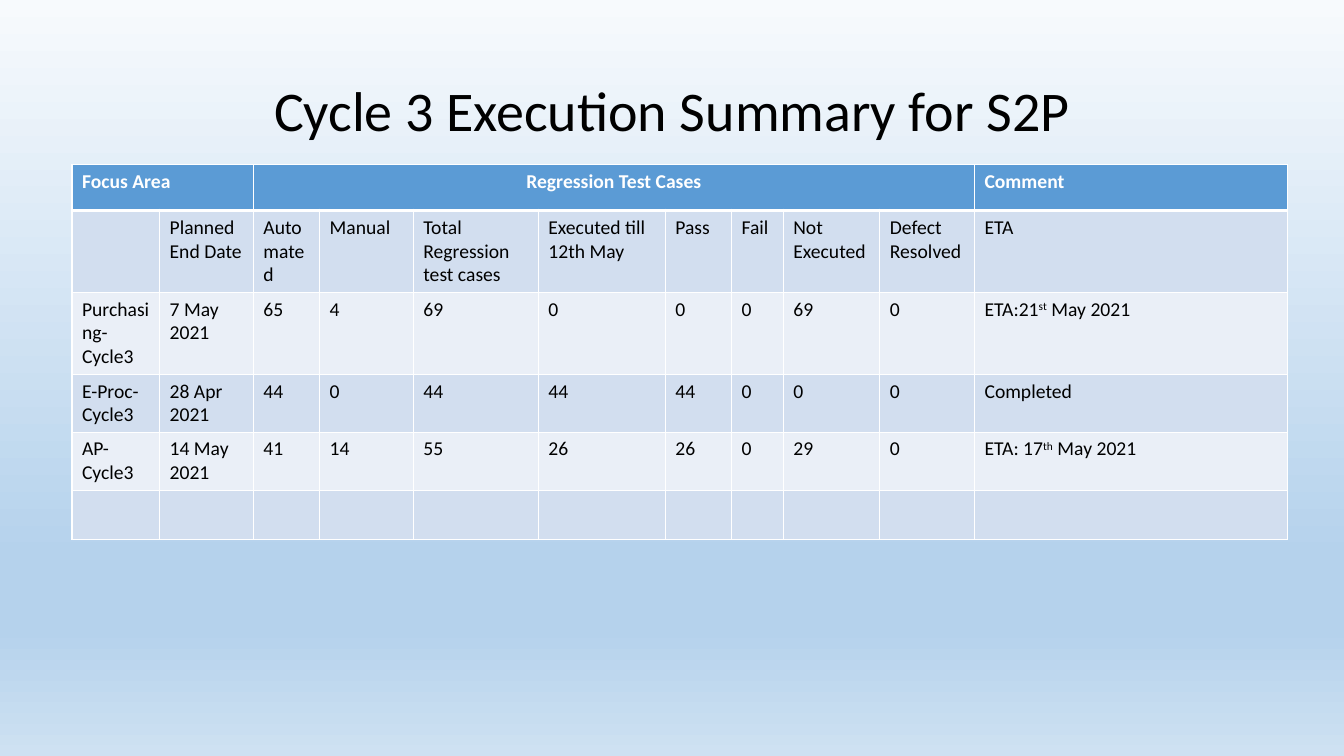
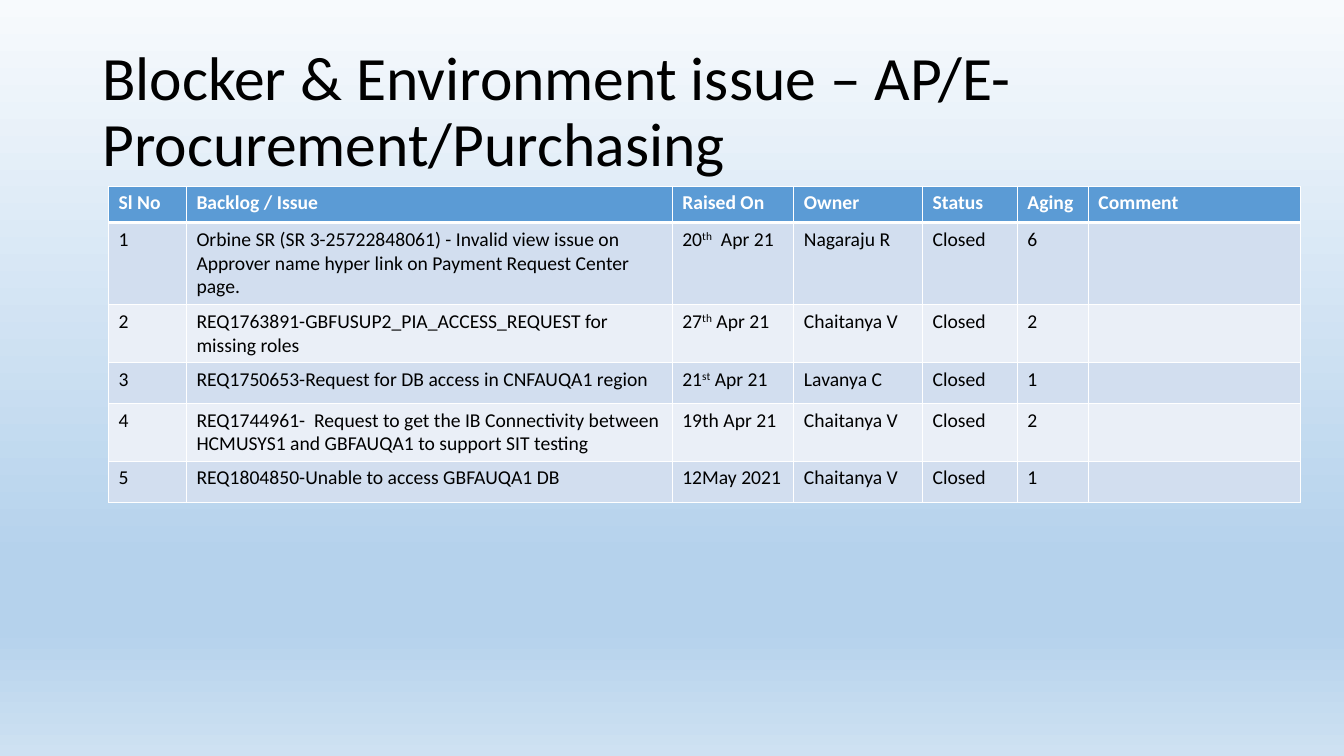
from lxml import etree
from pptx import Presentation
from pptx.dml.color import RGBColor
from pptx.enum.text import MSO_ANCHOR, PP_ALIGN
from pptx.oxml.ns import qn
from pptx.util import Pt

LEFT, CENTER = PP_ALIGN.LEFT, PP_ALIGN.CENTER
MIDDLE = MSO_ANCHOR.MIDDLE

# Shared style
FONT = "Calibri"
BLACK = RGBColor(0x00, 0x00, 0x00)
WHITE = RGBColor(0xFF, 0xFF, 0xFF)
HEADER_BLUE = RGBColor(0x5B, 0x9B, 0xD5)
BAND_DARK = RGBColor(0xD2, 0xDE, 0xEF)
BAND_LIGHT = RGBColor(0xEA, 0xEF, 0xF7)
SKY_TOP = RGBColor(0xF7, 0xFA, 0xFD)
SKY_MIDDLE = RGBColor(0xB5, 0xD2, 0xEC)
SKY_BOTTOM = RGBColor(0xCE, 0xE1, 0xF2)
BACKGROUND_STOPS = [(0, SKY_TOP), (74, SKY_MIDDLE), (83, SKY_MIDDLE), (100, SKY_BOTTOM)]

# Shared geometry, in points
PAGE_SIZE = (960, 540)
TITLE_BOX = (66, 28.75, 828, 104.4)
THIN, THICK = 1, 3
ONE_LINE, TWO_LINES, THREE_LINES = 29.25, 41.4, 58.5

# Slide contents; ^ marks start and end superscript
SUMMARY_COLUMNS = [62.6, 67, 47.3, 67, 89.3, 90.7, 47.3, 37, 69, 67.6, 223.6]
SUMMARY_HEIGHTS = [33, THREE_LINES, THREE_LINES, TWO_LINES, TWO_LINES, 35.5]
SUMMARY_ROWS = [
    ["Focus Area", "", "Regression Test Cases", "", "", "", "", "", "", "", "Comment"],
    ["", "Planned End Date", "Automated", "Manual", "Total Regression test cases",
     "Executed till 12th May", "Pass", "Fail", "Not Executed", "Defect Resolved", "ETA"],
    ["Purchasing-Cycle3", "7 May 2021", "65", "4", "69", "0", "0", "0", "69", "0",
     "ETA:21^st^ May 2021"],
    ["E-Proc-Cycle3", "28 Apr 2021", "44", "0", "44", "44", "44", "0", "0", "0",
     "Completed"],
    ["AP-Cycle3", "14 May 2021", "41", "14", "55", "26", "26", "0", "29", "0",
     "ETA: 17^th^ May 2021"],
    [""] * len(SUMMARY_COLUMNS),
]
ISSUE_COLUMNS = [55.7, 347, 86.9, 92, 67.7, 50.7, 151.8]
ISSUE_HEIGHTS = [26, THREE_LINES, TWO_LINES, ONE_LINE, TWO_LINES, ONE_LINE]
ISSUE_ROWS = [
    ["Sl No", "Backlog / Issue", "Raised On", "Owner", "Status", "Aging", "Comment"],
    ["1", "Orbine SR (SR 3-25722848061) - Invalid view issue on Approver name hyper link "
     "on Payment Request Center page.", "20^th^  Apr 21", "Nagaraju R", "Closed", "6", ""],
    ["2", "REQ1763891-GBFUSUP2_PIA_ACCESS_REQUEST for missing roles",
     "27^th^ Apr 21", "Chaitanya V", "Closed", "2", ""],
    ["3", "REQ1750653-Request for DB access in CNFAUQA1 region",
     "21^st^ Apr 21", "Lavanya C", "Closed", "1", ""],
    ["4", "REQ1744961-  Request to get the IB Connectivity between HCMUSYS1 and GBFAUQA1 "
     "to support SIT testing", "19th Apr 21", "Chaitanya V", "Closed", "2", ""],
    ["5", "REQ1804850-Unable to access GBFAUQA1 DB",
     "12May 2021", "Chaitanya V", "Closed", "1", ""],
]


def write_text(frame, text, size=14, color=BLACK, bold=False, align=LEFT, spacing=None):
    """Fill a text frame with one paragraph; odd pieces between ^ marks are raised."""
    para = frame.paragraphs[0]
    para.alignment = align
    para.font.size = Pt(size)
    if spacing:
        para.line_spacing = spacing
    for index, piece in enumerate(text.split("^")):
        if not piece:
            continue
        span = para.add_run()
        span.text = piece
        span.font.name = FONT
        span.font.size = Pt(size)
        span.font.bold = bold
        span.font.color.rgb = color
        if index % 2:
            span.font._element.set("baseline", "30000")


def add_color(parent, color):
    fill = etree.SubElement(parent, qn("a:solidFill"))
    etree.SubElement(fill, qn("a:srgbClr"), val=str(color))


def set_background(master):
    """Give the master a vertical gradient with all its stops."""
    fill = master.background.fill
    fill.gradient()
    fill.gradient_angle = 270
    stop_list = next(master.element.iter(qn("a:gsLst")))
    for stop in list(stop_list):
        stop_list.remove(stop)
    for position, color in BACKGROUND_STOPS:
        stop = etree.SubElement(stop_list, qn("a:gs"), pos=str(position * 1000))
        etree.SubElement(stop, qn("a:srgbClr"), val=str(color))


def set_borders(cell, top, bottom):
    properties = cell._tc.get_or_add_tcPr()
    for side, width in (("L", THIN), ("R", THIN), ("T", top), ("B", bottom)):
        line = etree.SubElement(properties, qn("a:ln" + side), w=str(Pt(width)))
        add_color(line, WHITE)


def add_title(page, text, box=TITLE_BOX, size=44, align=LEFT):
    frame = page.shapes.add_textbox(*map(Pt, box)).text_frame
    frame.word_wrap = True
    frame.vertical_anchor = MIDDLE
    write_text(frame, text, size=size, align=align, spacing=0.9)


def add_banded_table(page, left, top, columns, heights, rows, merges=(), centered=()):
    """Place a table with a blue header; merges are header (first, last) columns."""
    table = page.shapes.add_table(
        len(rows), len(columns), Pt(left), Pt(top), Pt(sum(columns)), Pt(sum(heights))
    ).table
    for column, width in zip(table.columns, columns):
        column.width = Pt(width)
    for row, height in zip(table.rows, heights):
        row.height = Pt(height)

    for row_index, texts in enumerate(rows):
        header = row_index == 0
        band = BAND_DARK if row_index % 2 else BAND_LIGHT
        for column_index, text in enumerate(texts):
            cell = table.cell(row_index, column_index)
            set_borders(cell, top=THICK if row_index == 1 else THIN,
                        bottom=THICK if header else THIN)
            cell.fill.solid()
            cell.fill.fore_color.rgb = HEADER_BLUE if header else band
            write_text(cell.text_frame, text, bold=header,
                       color=WHITE if header else BLACK,
                       align=CENTER if header and column_index in centered else LEFT)

    for first, last in merges:
        table.cell(0, first).merge(table.cell(0, last))


def add_summary_page(deck):
    page = deck.slides.add_slide(deck.slide_layouts[6])
    add_title(page, "Cycle 3 Execution Summary for S2P", size=40, align=CENTER)
    add_banded_table(page, 51.4, 117.4, SUMMARY_COLUMNS, SUMMARY_HEIGHTS, SUMMARY_ROWS,
                     merges=[(0, 1), (2, 9)], centered=[2])


def add_issue_page(deck):
    page = deck.slides.add_slide(deck.slide_layouts[6])
    add_title(page, "Blocker & Environment issue – AP/E-Procurement/Purchasing")
    add_banded_table(page, 77.5, 133, ISSUE_COLUMNS, ISSUE_HEIGHTS, ISSUE_ROWS)


def main():
    deck = Presentation()
    deck.slide_width, deck.slide_height = map(Pt, PAGE_SIZE)
    set_background(deck.slide_master)
    add_summary_page(deck)
    add_issue_page(deck)
    deck.save("out.pptx")


if __name__ == "__main__":
    main()
